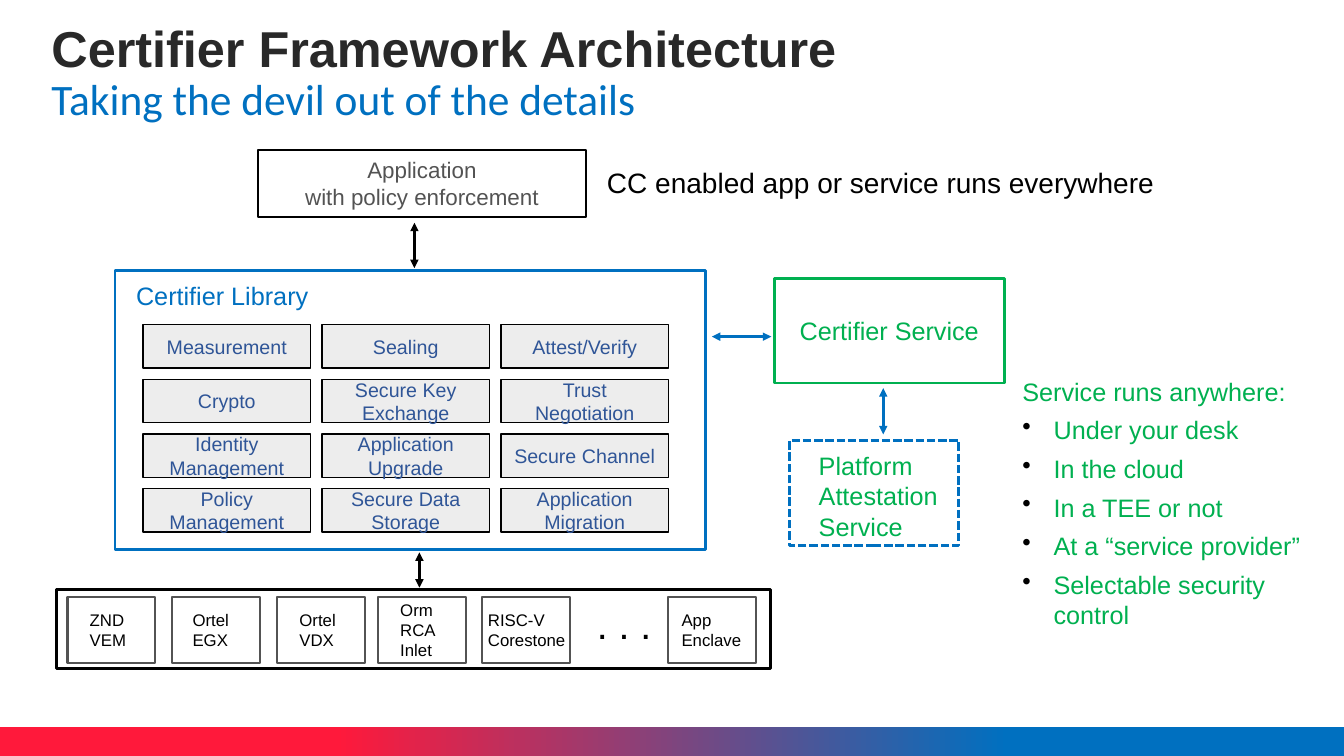
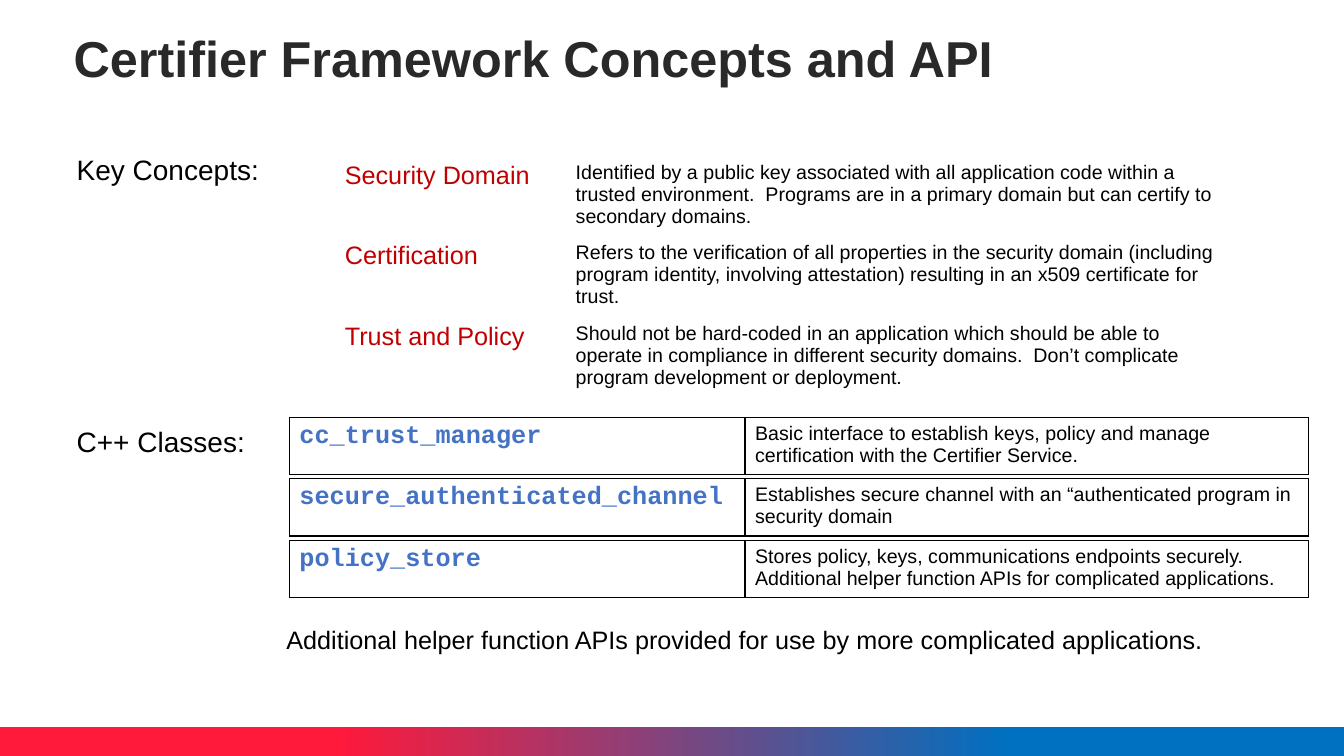
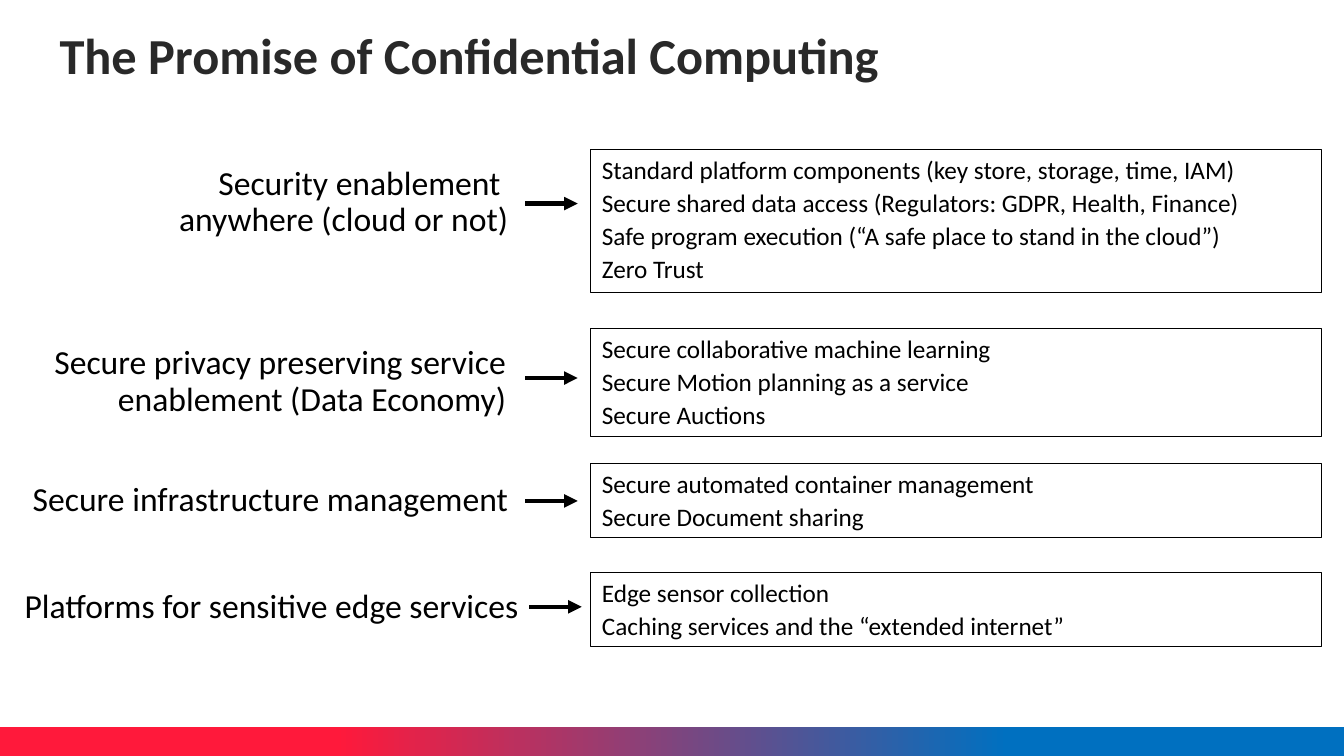
"""Build three slides on the Certifier Framework and confidential computing."""
import lxml.etree
import pptx
import pptx.dml.color
import pptx.enum.dml
import pptx.enum.shapes
import pptx.enum.text
import pptx.oxml.ns
import pptx.util

Inches = pptx.util.Inches
Pt = pptx.util.Pt
qn = pptx.oxml.ns.qn
ALIGN = pptx.enum.text.PP_ALIGN
ANCHOR = pptx.enum.text.MSO_ANCHOR

WIDTH, HEIGHT = 13.33, 7.5
SANS, HUMANIST, CODE = "Arial", "Calibri", "Courier New"
COLORS = {
    "black": "000000", "white": "FFFFFF", "title": "292929", "gray": "535353",
    "pale": "EDEDED", "navy": "2F5597", "blue": "0070C0", "green": "00B050",
    "red": "FF193B", "crimson": "C00000", "code": "4472C4",
}

MODULES = [
    ["Measurement", "Sealing", "Attest/Verify"],
    ["Crypto", "Secure Key Exchange", "Trust Negotiation"],
    ["Identity Management", "Application Upgrade", "Secure Channel"],
    ["Policy Management", "Secure Data Storage", "Application Migration"],
]
MODULE_GRID = {"left": 1.42, "top": 3.22, "column": 1.775, "row": 0.543}
ENCLAVES = [
    (0.67, 0.22, ["ZND", "VEM"]),
    (1.71, 0.2, ["Ortel", "EGX"]),
    (2.75, 0.22, ["Ortel", "VDX"]),
    (3.75, 0.22, ["Orm", "RCA", "Inlet"]),
    (4.78, 0.06, ["RISC-V", "Corestone"]),
    (6.63, 0.13, ["App", "Enclave"]),
]
SERVICE_HEADING = "Service runs anywhere:"
SERVICE_PLACES = [
    "Under your desk", "In the cloud", "In a TEE or not",
    "At a “service provider”", "Selectable security control",
]
ARCHITECTURE_ARROWS = [
    ((4.11, 2.21), (4.11, 2.66), "black"),
    ((4.16, 5.48), (4.16, 5.83), "black"),
    ((7.06, 3.34), (7.65, 3.34), "blue"),
    ((8.76, 3.85), (8.76, 4.31), "blue"),
]

CONCEPTS = [
    ("Security Domain",
     "Identified by a public key associated with all application code within a "
     "trusted environment.  Programs are in a primary domain but can certify to "
     "secondary domains."),
    ("Certification",
     "Refers to the verification of all properties in the security domain (including "
     "program identity, involving attestation) resulting in an x509 certificate for trust."),
    ("Trust and Policy",
     "Should not be hard-coded in an application which should be able to operate in "
     "compliance in different security domains.  Don’t complicate program development "
     "or deployment."),
]
CLASSES = [
    ("cc_trust_manager",
     "Basic interface to establish keys, policy and manage certification with the "
     "Certifier Service."),
    ("secure_authenticated_channel",
     "Establishes secure channel with an “authenticated program in security domain"),
    ("policy_store",
     "Stores policy, keys, communications endpoints securely. Additional helper "
     "function APIs for complicated applications."),
]
SECTION_LABELS = [("Key Concepts:", 1.51), ("C++ Classes:", 4.21)]
HELPER_NOTE = ("Additional helper function APIs provided for use by more "
               "complicated applications.")

PROMISES = [
    {"label": "Security enablement  anywhere (cloud or not)",
     "right": 5.09, "width": 4.09, "middle": 2.01, "arrow": (5.21, 2.02), "top": 1.48,
     "items": ["Standard platform components (key store, storage, time, IAM)",
               "Secure shared data access (Regulators: GDPR, Health, Finance)",
               "Safe program execution (“A safe place to stand in the cloud”)",
               "Zero Trust"]},
    {"label": "Secure privacy preserving service enablement (Data Economy)",
     "right": 5.07, "width": 4.66, "middle": 3.79, "arrow": (5.21, 3.75), "top": 3.26,
     "items": ["Secure collaborative machine learning",
               "Secure Motion planning as a service", "Secure Auctions"]},
    {"label": "Secure infrastructure management",
     "right": 5.09, "width": 4.87, "middle": 4.97, "arrow": (5.21, 4.97), "top": 4.6,
     "items": ["Secure automated container management", "Secure Document sharing"]},
    {"label": "Platforms for sensitive edge services",
     "right": 5.19, "width": 5.05, "middle": 6.03, "arrow": (5.25, 6.02), "top": 5.68,
     "items": ["Edge sensor collection",
               "Caching services and the “extended internet”"]},
]


def color(name):
    return pptx.dml.color.RGBColor.from_string(COLORS[name])


def style(paragraph, size, tint="black", font=SANS, bold=False, align=ALIGN.LEFT):
    paragraph.alignment = align
    paragraph.font.size = Pt(size)
    paragraph.font.name = font
    paragraph.font.bold = bold
    paragraph.font.color.rgb = color(tint)


def write(frame, lines, size, tint="black", insets=(0, 0, 0, 0), anchor=ANCHOR.TOP,
          before=0, after=0, spacing=None, **look):
    """Fill a text frame with one paragraph a line and return the paragraphs."""
    frame.word_wrap = True
    frame.vertical_anchor = anchor
    frame.margin_left, frame.margin_top, frame.margin_right, frame.margin_bottom = map(
        Inches, insets)
    paragraphs = [frame.paragraphs[0]] + [frame.add_paragraph() for _ in lines[1:]]
    for paragraph, line in zip(paragraphs, lines):
        paragraph.text = line
        paragraph.space_before, paragraph.space_after = Pt(before), Pt(after)
        if spacing:
            paragraph.line_spacing = spacing
        style(paragraph, size, tint, **look)
    return paragraphs


def add_text(slide, box, lines, size, tint="black", **layout):
    shape = slide.shapes.add_textbox(*map(Inches, box))
    return write(shape.text_frame, lines, size, tint, **layout)


def add_box(slide, box, line=None, weight=1, fill=None):
    shape = slide.shapes.add_shape(
        pptx.enum.shapes.MSO_SHAPE.RECTANGLE, *map(Inches, box))
    shape.shadow.inherit = False
    if fill:
        shape.fill.solid()
        shape.fill.fore_color.rgb = color(fill)
    else:
        shape.fill.background()
    if line:
        shape.line.color.rgb = color(line)
        shape.line.width = Pt(weight)
    else:
        shape.line.fill.background()
    return shape


def add_arrow(slide, start, end, tint, weight, both=False):
    arrow = slide.shapes.add_connector(
        pptx.enum.shapes.MSO_CONNECTOR.STRAIGHT, *map(Inches, start + end))
    arrow.line.color.rgb = color(tint)
    arrow.line.width = Pt(weight)
    properties = arrow.element.spPr
    line = properties.find(qn("a:ln"))
    for tag in ("a:headEnd", "a:tailEnd") if both else ("a:tailEnd",):
        lxml.etree.SubElement(line, qn(tag), type="triangle")
    lxml.etree.SubElement(properties, qn("a:effectLst"))


def add_bullet(paragraph, indent):
    properties = paragraph._p.get_or_add_pPr()
    properties.set("marL", str(Inches(indent)))
    properties.set("indent", str(-Inches(indent)))
    tint = lxml.etree.Element(qn("a:buClr"))
    lxml.etree.SubElement(tint, qn("a:srgbClr"), val=COLORS["black"])
    bullet = lxml.etree.Element(qn("a:buChar"), char="•")
    defaults = properties.find(qn("a:defRPr"))
    defaults.addprevious(tint)
    defaults.addprevious(bullet)


def add_borders(cell):
    properties = cell._tc.get_or_add_tcPr()
    for index, side in enumerate(("a:lnL", "a:lnR", "a:lnT", "a:lnB")):
        line = lxml.etree.Element(qn(side), w=str(Pt(1)))
        fill = lxml.etree.SubElement(line, qn("a:solidFill"))
        lxml.etree.SubElement(fill, qn("a:srgbClr"), val=COLORS["black"])
        properties.insert(index, line)


def add_definitions(slide, left, top, columns, row_height, rows, term_look, bordered=False):
    """Add a table of terms and their explanations."""
    table = slide.shapes.add_table(
        len(rows), 2, Inches(left), Inches(top), Inches(sum(columns)),
        Inches(row_height * len(rows))).table
    table.first_row = table.horz_banding = False
    for column, width in zip(table.columns, columns):
        column.width = Inches(width)
    for row, texts in enumerate(rows):
        for column, text in enumerate(texts):
            cell = table.cell(row, column)
            cell.text = text
            cell.fill.background()
            look = {"size": 14} if column else term_look
            style(cell.text_frame.paragraphs[0], **look)
            if bordered:
                add_borders(cell)


def add_band(presentation, slide):
    """Put the gradient footer band on the slide master."""
    band = add_box(slide, (0, 7.21, WIDTH, HEIGHT - 7.21))
    band.fill.gradient()
    band.fill.gradient_angle = 0
    for stop, tint, position in zip(band.fill.gradient_stops, ("red", "blue"), (0.25, 0.75)):
        stop.color.rgb = color(tint)
        stop.position = position
    presentation.slide_master.shapes.element.append(band.element)


def add_title(slide, box, lines, font=SANS):
    paragraphs = add_text(slide, box, lines, 36, "title", font=font, bold=True, spacing=0.9,
                          anchor=ANCHOR.MIDDLE, insets=(0.05,) * 4)
    for subtitle in paragraphs[1:]:
        style(subtitle, 31, "blue", HUMANIST)


def build_architecture(slide):
    add_title(slide, (0.46, 0.45, 12.87, 0.58),
              ["Certifier Framework Architecture", "Taking the devil out of the details"])

    application = add_box(slide, (2.56, 1.49, 3.25, 0.66), "black", 1.5, "white")
    write(application.text_frame, ["Application", "with policy enforcement"], 16, "gray",
          anchor=ANCHOR.MIDDLE, align=ALIGN.CENTER)
    add_text(slide, (6.02, 1.64, 5.8, 0.34), ["CC enabled app or service runs everywhere"], 20)

    library = add_box(slide, (1.14, 2.68, 5.86, 2.77), "blue", 2)
    write(library.text_frame, ["Certifier Library"], 18, "blue", insets=(0.21, 0.1, 0, 0))
    for row, names in enumerate(MODULES):
        for column, name in enumerate(names):
            left = MODULE_GRID["left"] + column * MODULE_GRID["column"]
            top = MODULE_GRID["top"] + row * MODULE_GRID["row"]
            module = add_box(slide, (left, top, 1.66, 0.43), "black", 1, "pale")
            write(module.text_frame, [name], 14, "navy", insets=(0.1, 0.05, 0.1, 0.05),
                  anchor=ANCHOR.MIDDLE, align=ALIGN.CENTER)

    service = add_box(slide, (7.68, 2.76, 2.28, 1.04), "green", 2)
    write(service.text_frame, ["Certifier Service"], 18, "green",
          anchor=ANCHOR.MIDDLE, align=ALIGN.CENTER)
    attestation = add_box(slide, (7.83, 4.37, 1.68, 1.04), "blue", 2)
    attestation.line.dash_style = pptx.enum.dml.MSO_LINE.SQUARE_DOT
    write(attestation.text_frame, ["Platform Attestation Service"], 18, "green",
          insets=(0.29, 0.1, 0.17, 0))
    places = add_text(slide, (10.14, 3.73, 2.93, 2.54), [SERVICE_HEADING] + SERVICE_PLACES,
                      18, "green", after=6)
    for place in places[1:]:
        add_bullet(place, 0.31)

    add_box(slide, (0.56, 5.85, 7.08, 0.78), "black", 2.25)
    for left, indent, lines in ENCLAVES:
        enclave = add_box(slide, (left, 5.92, 0.87, 0.66), "gray", 1.5)
        write(enclave.text_frame, lines, 12, insets=(indent, 0, 0, 0), anchor=ANCHOR.MIDDLE)
    add_text(slide, (5.92, 5.96, 0.7, 0.47), [". . ."], 28)

    for start, end, tint in ARCHITECTURE_ARROWS:
        add_arrow(slide, start, end, tint, 2, both=True)


def build_concepts(slide):
    add_title(slide, (0.68, 0.17, 11.54, 0.87), ["Certifier Framework Concepts and API"])
    for label, top in SECTION_LABELS:
        add_text(slide, (0.76, top, 2.23, 0.34), [label], 20)
    add_definitions(slide, 3.32, 1.55, (2.29, 6.53), 0.75, CONCEPTS,
                    {"size": 18, "tint": "crimson"})
    for index, entry in enumerate(CLASSES):
        add_definitions(slide, 2.87, 4.14 + index * 0.61, (4.52, 5.59), 0.54, [entry],
                        {"size": 18, "tint": "code", "font": CODE, "bold": True},
                        bordered=True)
    add_text(slide, (2.84, 6.19, 9.69, 0.3), [HELPER_NOTE], 18)


def build_promise(slide):
    add_title(slide, (0.54, 0.21, 11.88, 0.74), ["The Promise of Confidential Computing"],
              HUMANIST)
    for promise in PROMISES:
        label_box = (promise["right"] - promise["width"], promise["middle"] - 0.46,
                     promise["width"], 0.92)
        add_text(slide, label_box, [promise["label"]], 24, font=HUMANIST, align=ALIGN.RIGHT,
                 anchor=ANCHOR.MIDDLE, insets=(0.05,) * 4, before=2, spacing=0.9)
        items = promise["items"]
        outcome = add_box(slide, (5.86, promise["top"], 7.25, 0.04 + 0.345 * len(items)),
                          "black", 0.75)
        write(outcome.text_frame, items, 18, font=HUMANIST, before=2,
              insets=(0.11, 0.05, 0.1, 0.05))
        left, middle = promise["arrow"]
        add_arrow(slide, (left, middle), (left + 0.52, middle), "black", 3.25)


def main():
    presentation = pptx.Presentation()
    presentation.slide_width, presentation.slide_height = Inches(WIDTH), Inches(HEIGHT)
    blank = presentation.slide_layouts[6]
    builders = (build_architecture, build_concepts, build_promise)
    slides = [presentation.slides.add_slide(blank) for _ in builders]
    add_band(presentation, slides[0])
    for build, slide in zip(builders, slides):
        build(slide)
    presentation.save("out.pptx")


if __name__ == "__main__":
    main()
